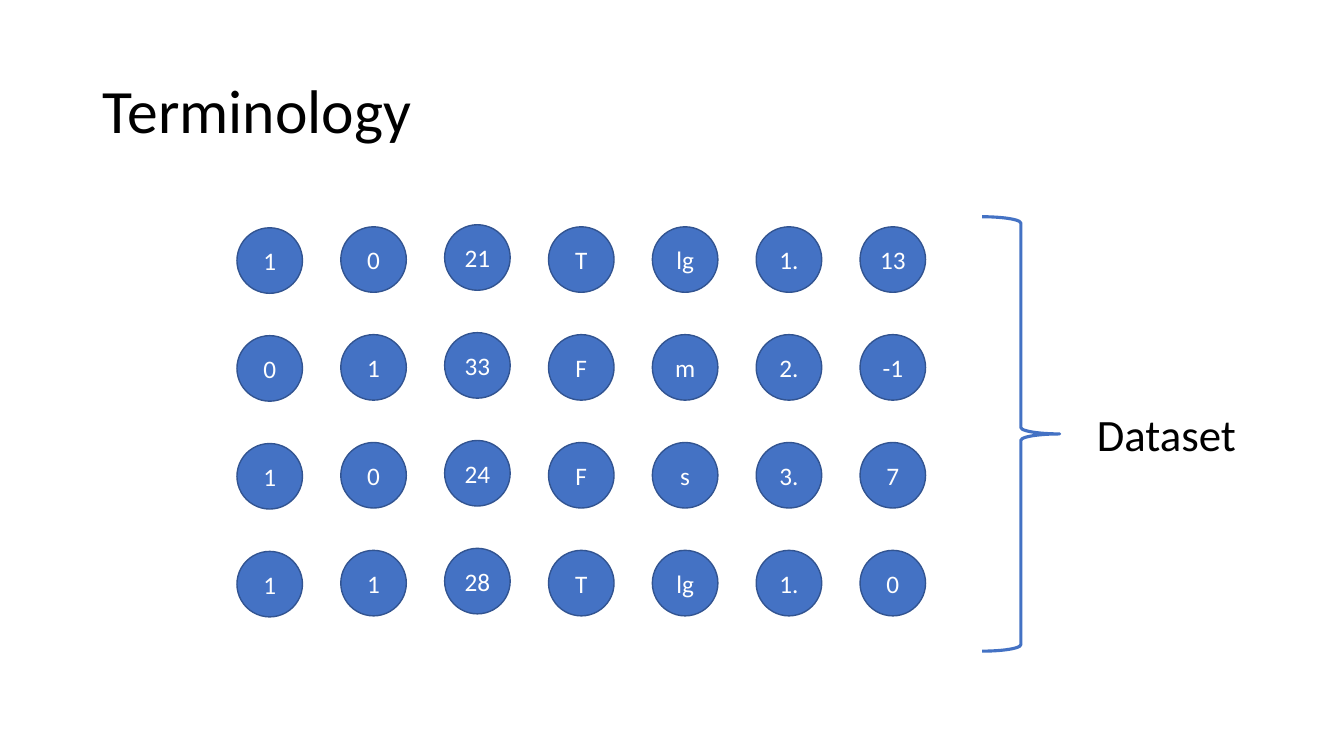
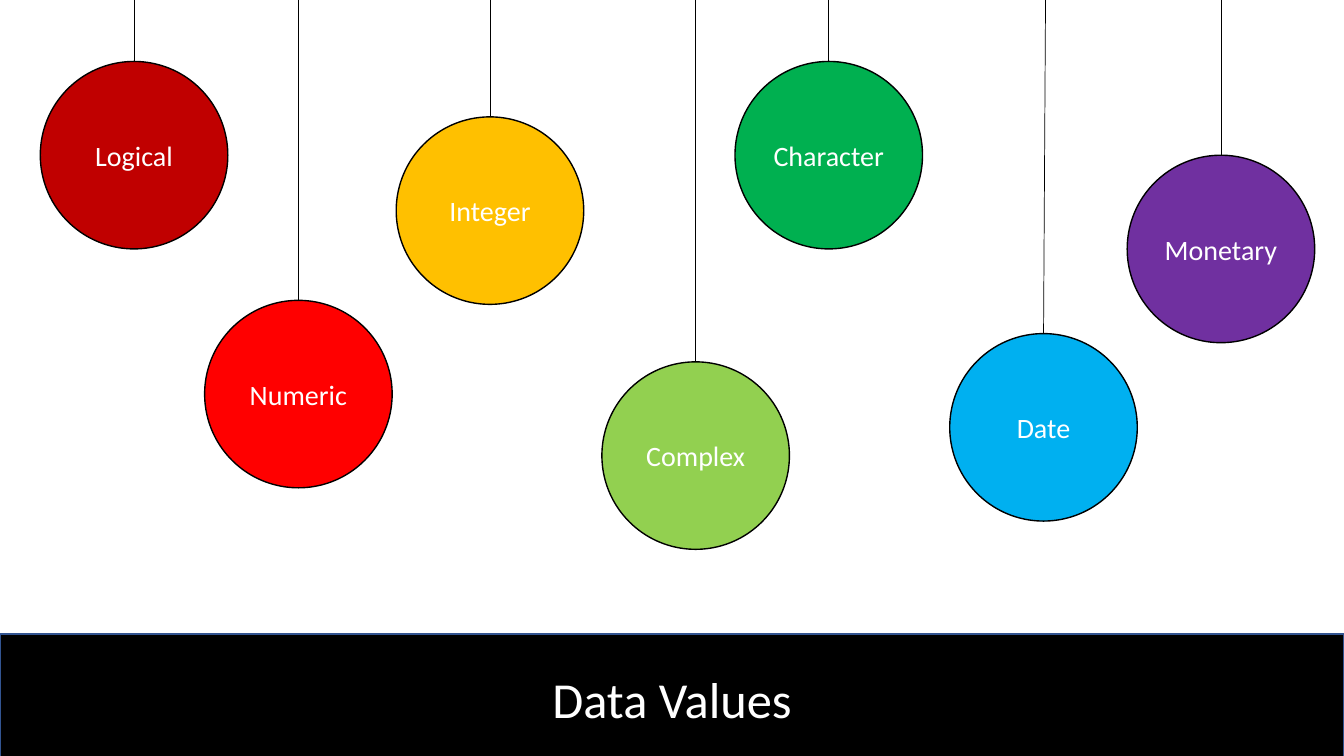
import pptx
import pptx.util
import pptx.dml.color
import pptx.enum.shapes
import pptx.enum.text
import pptx.oxml

Inches = pptx.util.Inches
Align = pptx.enum.text.PP_ALIGN
Anchor = pptx.enum.text.MSO_ANCHOR
Preset = pptx.enum.shapes.MSO_SHAPE

FONT = "Calibri"
BLACK, WHITE = "000000", "FFFFFF"
BLUE, DARK_BLUE = "4472C4", "325491"
SLIDE_WIDTH, SLIDE_HEIGHT = 13.33, 7.5
EFFECTS = '<a:effectLst xmlns:a="http://schemas.openxmlformats.org/drawingml/2006/main"/>'


def paint(shape, fill=None, line=BLACK, width=1):
    """Give a shape its fill (none by default) and outline, without a shadow."""
    if fill:
        shape.fill.solid()
        shape.fill.fore_color.rgb = pptx.dml.color.RGBColor.from_string(fill)
    else:
        shape.fill.background()
    shape.line.color.rgb = pptx.dml.color.RGBColor.from_string(line)
    shape.line.width = pptx.util.Pt(width)
    shape.shadow.inherit = False


def write(shape, text, size=18, color=WHITE, align=Align.CENTER,
          anchor=Anchor.MIDDLE, margin=0.1, spacing=1.0):
    """Put one formatted paragraph of text into a shape."""
    frame = shape.text_frame
    frame.word_wrap = True
    frame.auto_size = pptx.enum.text.MSO_AUTO_SIZE.NONE
    frame.vertical_anchor = anchor
    frame.margin_left = frame.margin_right = Inches(margin)
    frame.margin_top = frame.margin_bottom = Inches(margin / 2)
    paragraph = frame.paragraphs[0]
    paragraph.alignment = align
    paragraph.line_spacing = spacing
    run = paragraph.add_run()
    run.text = text
    run.font.name = FONT
    run.font.size = pptx.util.Pt(size)
    run.font.color.rgb = pptx.dml.color.RGBColor.from_string(color)


presentation = pptx.Presentation()
presentation.slide_width = Inches(SLIDE_WIDTH)
presentation.slide_height = Inches(SLIDE_HEIGHT)
title_only = presentation.slide_layouts[5]

# Terminology: a grid of values, braced together as a dataset
slide = presentation.slides.add_slide(title_only)
title = slide.shapes.title
title.left, title.top = Inches(0.92), Inches(0.4)
title.width, title.height = Inches(11.5), Inches(1.45)
write(title, "Terminology", size=44, color=BLACK, align=Align.LEFT, spacing=0.9)

DATASET = [
    ["1", "0", "21", "T", "lg", "1.", "13"],
    ["0", "1", "33", "F", "m", "2.", "-1"],
    ["1", "0", "24", "F", "s", "3.", "7"],
    ["1", "1", "28", "T", "lg", "1.", "0"],
]
GRID_LEFT, GRID_TOP = 2.35, 2.25
COLUMN_STEP, ROW_STEP = 1.03, 1.07
VALUE_SIZE = 0.65
COLUMN_SHIFT = {0: 0.01, 2: -0.02}

for row, values in enumerate(DATASET):
    for column, value in enumerate(values):
        top = GRID_TOP + row * ROW_STEP + COLUMN_SHIFT.get(column, 0)
        circle = slide.shapes.add_shape(
            Preset.OVAL, Inches(GRID_LEFT + column * COLUMN_STEP), Inches(top),
            Inches(VALUE_SIZE), Inches(VALUE_SIZE))
        paint(circle, fill=BLUE, line=DARK_BLUE)
        write(circle, value, margin=0)

brace = slide.shapes.add_shape(
    Preset.RIGHT_BRACE, Inches(9.74), Inches(2.15), Inches(0.77), Inches(4.31))
paint(brace, line=BLUE, width=2.25)
label = slide.shapes.add_textbox(
    Inches(10.78), Inches(3.99), Inches(2.26), Inches(0.64))
write(label, "Dataset", size=32, color=BLACK, align=Align.LEFT, anchor=Anchor.TOP)

# Data values: one hanging ball per type, over a title band
slide = presentation.slides.add_slide(title_only)
BALL_SIZE = 1.86
BALLS = [  # name, colour, left, top, sideways lean of the string
    ("Logical", "C00000", 0.4, 0.61, 0),
    ("Numeric", "FF0000", 2.03, 2.98, 0),
    ("Integer", "FFC000", 3.93, 1.16, 0),
    ("Complex", "92D050", 5.97, 3.59, 0),
    ("Character", "00B050", 7.29, 0.61, 0),
    ("Date", "00B0F0", 9.42, 3.31, 0.02),
    ("Monetary", "7030A0", 11.18, 1.54, 0),
]
for name, color, left, top, lean in BALLS:
    group = slide.shapes.add_group_shape()
    ball = group.shapes.add_shape(
        Preset.OVAL, Inches(left), Inches(top), Inches(BALL_SIZE), Inches(BALL_SIZE))
    paint(ball, fill=color)
    write(ball, name, size=20)
    center = left + BALL_SIZE / 2
    string = group.shapes.add_connector(
        pptx.enum.shapes.MSO_CONNECTOR.STRAIGHT,
        Inches(center), Inches(top), Inches(center + lean), 0)
    string.line.color.rgb = pptx.dml.color.RGBColor.from_string(BLACK)
    string.line.width = pptx.util.Pt(0.5)
    string._element.spPr.append(pptx.oxml.parse_xml(EFFECTS))

band = slide.shapes.title
band.left, band.top = 0, Inches(6.29)
band.width, band.height = presentation.slide_width, Inches(1.27)
paint(band, fill=BLACK, line=DARK_BLUE)
write(band, "Data Values", size=36)

presentation.save("out.pptx")
